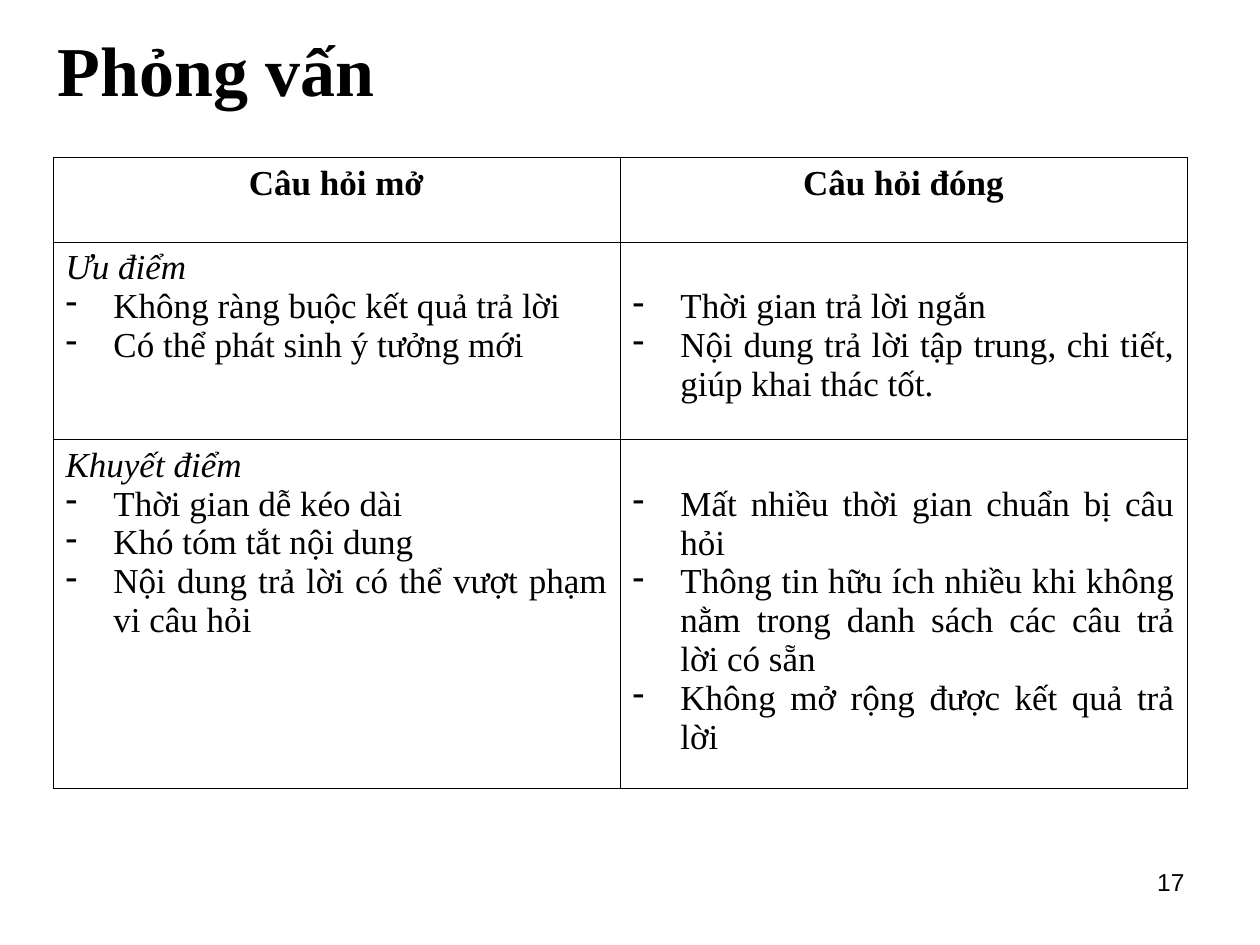
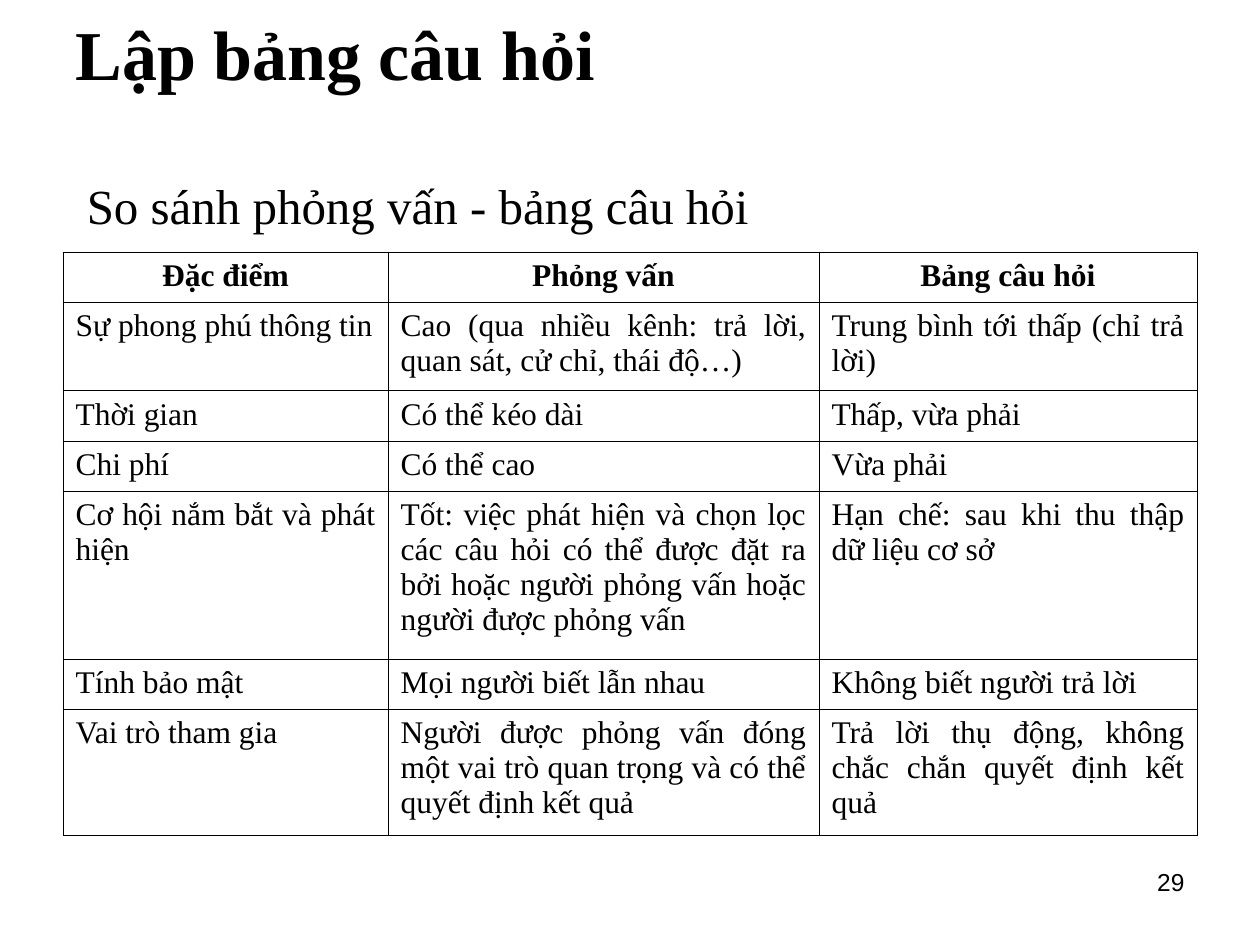
from dataclasses import dataclass

import pptx
import pptx.dml.color
import pptx.enum.text
import pptx.oxml
import pptx.oxml.ns
import pptx.presentation
import pptx.slide
import pptx.table
import pptx.text.text
import pptx.util
from pptx.util import Inches

# Shared style
SERIF, SANS = "Times New Roman", "Arial"
BLACK = "000000"
BORDER_PT = 0.45
HANG = Inches(0.38)
LINE_20PT = Inches(0.31)
LEFT, CENTER, RIGHT, JUSTIFY = (
    getattr(pptx.enum.text.PP_ALIGN, name)
    for name in ("LEFT", "CENTER", "RIGHT", "JUSTIFY"))
AUTO = pptx.enum.text.MSO_AUTO_SIZE


@dataclass
class Line:
    text: str
    bullet: bool = False
    bold: bool = False
    italic: bool = False
    align: pptx.enum.text.PP_ALIGN = JUSTIFY


@dataclass
class Cell:
    lines: list[Line]
    skip_line: bool = False  # starts level with the second line of its row


@dataclass
class Grid:
    left: float
    top: float
    cols: list[float]
    rows: list[float]
    size: int
    cells: list[list[Cell]]


def color(value: str) -> pptx.dml.color.RGBColor:
    return pptx.dml.color.RGBColor.from_string(value)


def xml(tag: str, body: str = "", **attrs: str):
    attr_text = "".join(f' {key}="{value}"' for key, value in attrs.items())
    ns = pptx.oxml.ns.nsdecls("a")
    return pptx.oxml.parse_xml(f"<a:{tag} {ns}{attr_text}>{body}</a:{tag}>")


# Text
def write(p: pptx.text.text._Paragraph, line: Line, size: int,
          font: str = SERIF) -> None:
    p.alignment = line.align
    if line.bullet:
        pPr = p._p.get_or_add_pPr()
        pPr.set("marL", str(HANG))
        pPr.set("indent", str(-HANG))
        pPr.append(xml("buClr", f'<a:srgbClr val="{BLACK}"/>'))
        pPr.append(xml("buChar", char="-"))
    r = p.add_run()
    r.text = line.text
    formats = {"name": font, "size": pptx.util.Pt(size),
               "bold": line.bold, "italic": line.italic}
    for key, value in formats.items():
        setattr(r.font, key, value)
    r.font.color.rgb = color(BLACK)


def add_text(s: pptx.slide.Slide, box: tuple[float, ...], line: Line,
             size: int, font: str = SERIF, wrap: bool = True) -> None:
    tf = s.shapes.add_textbox(*map(Inches, box)).text_frame
    tf.word_wrap = wrap
    tf.auto_size = AUTO.NONE if wrap else AUTO.SHAPE_TO_FIT_TEXT
    write(tf.paragraphs[0], line, size, font)


# Slide with title and page number
def add_slide(prs: pptx.presentation.Presentation, title: str,
              title_box: tuple[float, ...], number: int) -> pptx.slide.Slide:
    s = prs.slides.add_slide(prs.slide_layouts[5])
    sp = s.shapes.title
    for key, value in zip(("left", "top", "width", "height"), title_box):
        setattr(sp, key, Inches(value))
    tf = sp.text_frame
    tf.auto_size = AUTO.NONE
    tf.vertical_anchor = pptx.enum.text.MSO_ANCHOR.MIDDLE
    write(tf.paragraphs[0], Line(title, bold=True, align=LEFT), 40)
    add_text(s, (7.17, 6.83, 2.33, 0.52), Line(str(number), align=RIGHT), 14, SANS)
    return s


# Tables
def style_cell(tc: pptx.table._Cell) -> None:
    tcPr = tc._tc.get_or_add_tcPr()
    for side in ("lnL", "lnR", "lnT", "lnB"):
        fill = f'<a:solidFill><a:srgbClr val="{BLACK}"/></a:solidFill>'
        tcPr.append(xml(side, fill, w=str(pptx.util.Pt(BORDER_PT))))
    tc.fill.background()


def add_grid(s: pptx.slide.Slide, grid: Grid) -> None:
    box = (grid.left, grid.top, sum(grid.cols), sum(grid.rows))
    table = s.shapes.add_table(len(grid.rows), len(grid.cols),
                               *map(Inches, box)).table
    table.first_row = table.horz_banding = False
    for col, width in zip(table.columns, grid.cols):
        col.width = Inches(width)
    for row, height, cells in zip(table.rows, grid.rows, grid.cells):
        row.height = Inches(height)
        for tc, cell in zip(row.cells, cells):
            style_cell(tc)
            if cell.skip_line:
                tc.margin_top = Inches(0.05) + LINE_20PT
            tf = tc.text_frame
            for i, line in enumerate(cell.lines):
                p = tf.add_paragraph() if i else tf.paragraphs[0]
                write(p, line, grid.size)


def header_row(*texts: str) -> list[Cell]:
    return [Cell([Line(t, bold=True, align=CENTER)]) for t in texts]


def plain_row(*texts: str) -> list[Cell]:
    return [Cell([Line(t)]) for t in texts]


def list_row(heading: str, left: list[str], right: list[str]) -> list[Cell]:
    left_items, right_items = ([Line(t, bullet=True) for t in side]
                               for side in (left, right))
    return [Cell([Line(heading, italic=True), *left_items]),
            Cell(right_items, skip_line=True)]


QUESTION_TYPES = Grid(0.42, 1.25, [4.5, 4.5], [0.67, 1.57, 2.77], 20, [
    header_row("Câu hỏi mở", "Câu hỏi đóng"),
    list_row("Ưu điểm",
             ["Không ràng buộc kết quả trả lời",
              "Có thể phát sinh ý tưởng mới"],
             ["Thời gian trả lời ngắn",
              "Nội dung trả lời tập trung, chi tiết, giúp khai thác tốt."]),
    list_row("Khuyết điểm",
             ["Thời gian dễ kéo dài",
              "Khó tóm tắt nội dung",
              "Nội dung trả lời có thể vượt phạm vi câu hỏi"],
             ["Mất nhiều thời gian chuẩn bị câu hỏi",
              "Thông tin hữu ích nhiều khi không nằm trong danh sách "
              "các câu trả lời có sẵn",
              "Không mở rộng được kết quả trả lời"]),
])

COMPARISON = Grid(0.5, 2, [2.58, 3.42, 3], [0.4, 0.7, 0.4, 0.4, 1.33, 0.4, 1], 18, [
    header_row("Đặc điểm", "Phỏng vấn", "Bảng câu hỏi"),
    plain_row("Sự phong phú thông tin",
              "Cao (qua nhiều kênh: trả lời, quan sát, cử chỉ, thái độ…)",
              "Trung bình tới thấp (chỉ trả lời)"),
    plain_row("Thời gian", "Có thể kéo dài", "Thấp, vừa phải"),
    plain_row("Chi phí", "Có thể cao", "Vừa phải"),
    plain_row("Cơ hội nắm bắt và phát hiện",
              "Tốt: việc phát hiện và chọn lọc các câu hỏi có thể được đặt ra "
              "bởi hoặc người phỏng vấn hoặc người được phỏng vấn",
              "Hạn chế: sau khi thu thập dữ liệu cơ sở"),
    plain_row("Tính bảo mật", "Mọi người biết lẫn nhau",
              "Không biết người trả lời"),
    plain_row("Vai trò tham gia",
              "Người được phỏng vấn đóng một vai trò quan trọng "
              "và có thể quyết định kết quả",
              "Trả lời thụ động, không chắc chắn quyết định kết quả"),
])


def main() -> None:
    prs = pptx.Presentation()
    prs.slide_width, prs.slide_height = Inches(10), Inches(7.5)

    # Interview: open and closed questions
    s = add_slide(prs, "Phỏng vấn", (0.36, 0.17, 9, 0.75), 17)
    add_grid(s, QUESTION_TYPES)

    # Questionnaire compared with interview
    s = add_slide(prs, "Lập bảng câu hỏi", (0.5, 0.3, 9, 0.24), 29)
    add_grid(s, COMPARISON)
    add_text(s, (0.59, 1.34, 5.45, 0.57),
             Line("So sánh phỏng vấn - bảng câu hỏi", align=LEFT), 28, wrap=False)

    prs.save("out.pptx")


if __name__ == "__main__":
    main()
